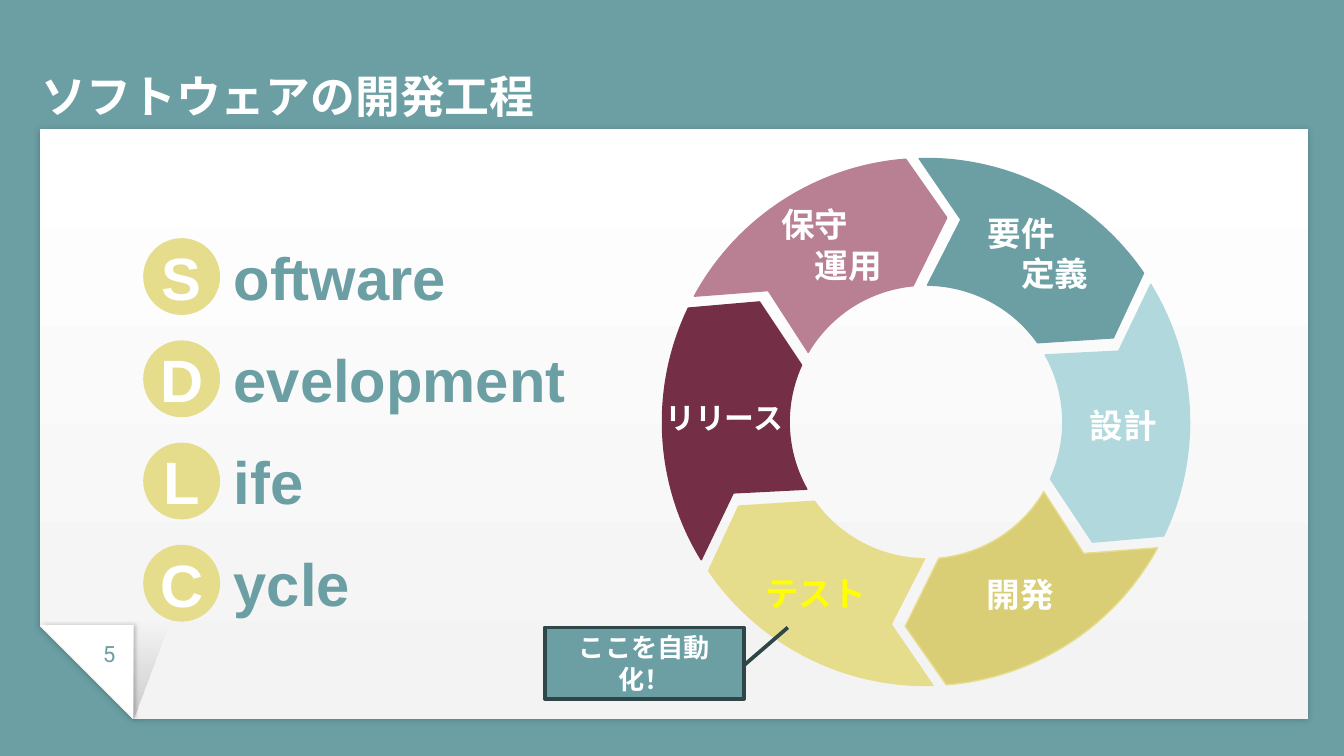
from math import cos, radians, sin, tan

from lxml.etree import SubElement
from pptx import Presentation
from pptx.dml.color import RGBColor
from pptx.enum.shapes import MSO_SHAPE
from pptx.enum.text import MSO_ANCHOR, PP_ALIGN
from pptx.oxml import parse_xml
from pptx.oxml.ns import nsdecls, qn
from pptx.util import Pt

# Content
TITLE = "ソフトウェアの開発工程"
PAGE_NUMBER = "5"
CALLOUT = "ここを自動化！"
WORDS = ["Software", "Development", "Life", "Cycle"]
# Clockwise from the top: lines, label box, size name, text, fill, outline
STAGES = [
    (["要件", "定義"], (529.2, 127.6, 79.2), "label", "white", "teal", "teal"),
    (["設計"], (583.9, 208.8, 87.8), "label", "white", "sky", "sky"),
    (["開発"], (528.5, 299.5, 44.6), "label", "white", "olive", "sand"),
    (["テスト"], (409.9, 298.8, 54.7), "label", "yellow", "sand", "sand"),
    (["リリース"], (356.4, 203.8, 78.5), "small_label", "white", "wine", "wine"),
    (["保守", "運用"], (418.5, 123.1, 87.8), "label", "white", "rose", "rose"),
]

THEME = {
    "colors": {
        "teal": "6B9FA4", "sky": "B1D9DD", "olive": "D9CE75", "sand": "E6DD8C",
        "wine": "742E46", "rose": "B98094", "white": "FFFFFF", "paper": "F3F3F3",
        "yellow": "FFFF00", "dark": "2F4648", "black": "000000",
    },
    "sizes": {"title": 24, "word": 32, "label": 18, "small_label": 16,
              "callout": 14, "page": 12},
    "latin": "Arial", "japanese": "Noto Sans CJK JP", "body": "Roboto",
}

# Geometry in points
ROW_TOP, ROW_PITCH, CIRCLE = 127.6, 54.75, 41.2
RING_CENTER = (496.1, 226.1)
OUTER, MIDDLE, INNER = 141.2, 110, 73.3
OUTER_START, OUTER_END = -91.5, -34.4
TIP, NOTCH = -80.2, -24.2
INNER_START, INNER_END = -89.4, -35.4
PATH_UNIT = Pt(0.01)


def color(name):
    return RGBColor.from_string(THEME["colors"][name])


def write(frame, lines, size, text_color, font, align=None, bold=True,
          anchor=MSO_ANCHOR.TOP, insets=(0, 0)):
    frame.word_wrap = True
    frame.vertical_anchor = anchor
    frame.margin_left = frame.margin_right = Pt(insets[0])
    frame.margin_top = frame.margin_bottom = Pt(insets[1])
    for index, line in enumerate(lines):
        paragraph = frame.paragraphs[0] if index == 0 else frame.add_paragraph()
        paragraph.alignment = align
        run = paragraph.add_run()
        run.text = line
        run.font.size = Pt(THEME["sizes"][size])
        run.font.bold = bold
        run.font.name = THEME[font]
        run.font.color.rgb = color(text_color)
        SubElement(run.font._element, qn("a:ea")).set("typeface", THEME[font])
        if index:  # later lines step in by one character
            indent = Pt(THEME["sizes"][size] * index)
            paragraph._p.get_or_add_pPr().set("marL", str(indent))


def add_text(slide, box, lines, size, text_color, font, **options):
    text_box = slide.shapes.add_textbox(*map(Pt, box))
    write(text_box.text_frame, lines, size, text_color, font, **options)


def paint(shape, fill, line=None, width=0.75):
    shape.shadow.inherit = False
    shape.fill.solid()
    shape.fill.fore_color.rgb = color(fill)
    if line:
        shape.line.color.rgb = color(line)
        shape.line.width = Pt(width)
    else:
        shape.line.fill.background()


def add_shape(slide, kind, box, fill, line=None, width=0.75):
    shape = slide.shapes.add_shape(kind, *map(Pt, box))
    paint(shape, fill, line, width)
    return shape


def grade(shape, stops, angle):
    """Fill with two (colour, opacity percent) stops."""
    shape.fill.gradient()
    shape.fill.gradient_angle = angle
    for stop, position, (name, opacity) in zip(
            shape.fill.gradient_stops, (0, 1), stops):
        stop.position = position
        stop.color.rgb = color(name)
        if opacity < 100:
            rgb = stop._gs.find(qn("a:srgbClr"))
            SubElement(rgb, qn("a:alpha")).set("val", str(opacity * 1000))


def cast_shadow(shape, blur, direction):
    properties = shape._element.spPr
    properties.remove(properties.find(qn("a:effectLst")))
    properties.append(parse_xml(
        f'<a:effectLst {nsdecls("a")}><a:outerShdw blurRad="{Pt(blur)}" '
        f'dist="{Pt(0.8)}" dir="{direction * 60000}" algn="bl" rotWithShape="0">'
        '<a:srgbClr val="000000"><a:alpha val="20000"/></a:srgbClr>'
        '</a:outerShdw></a:effectLst>'))


def polar(radius, degrees):
    x, y = RING_CENTER
    return x + radius * cos(radians(degrees)), y + radius * sin(radians(degrees))


def arc_curves(radius, start, end):
    """Two cubic curves, each as two control points and an end point."""
    half = (end - start) / 2
    pull = radius * 4 / 3 * tan(radians(half / 4))
    curves = []
    for first in (start, start + half):
        last = first + half
        (x1, y1), (x2, y2) = polar(radius, first), polar(radius, last)
        dx1, dy1 = -pull * sin(radians(first)), pull * cos(radians(first))
        dx2, dy2 = -pull * sin(radians(last)), pull * cos(radians(last))
        curves.append([(x1 + dx1, y1 + dy1), (x2 - dx2, y2 - dy2), (x2, y2)])
    return curves


def add_segment(slide, turn, fill, line):
    steps = [*arc_curves(OUTER, OUTER_START + turn, OUTER_END + turn),
             [polar(MIDDLE, NOTCH + turn)],
             [polar(INNER, INNER_END + turn)],
             *arc_curves(INNER, INNER_END + turn, INNER_START + turn),
             [polar(MIDDLE, TIP + turn)]]
    scale = Pt(1) / PATH_UNIT
    start_x, start_y = polar(OUTER, OUTER_START + turn)
    builder = slide.shapes.build_freeform(
        round(start_x * scale), round(start_y * scale), scale=PATH_UNIT)
    builder.add_line_segments(
        [(round(step[-1][0] * scale), round(step[-1][1] * scale))
         for step in steps], close=True)
    shape = builder.convert_to_shape()
    paint(shape, fill, line)
    # Bend the arc steps into cubic curves
    lines = list(shape._element.iter(qn("a:lnTo")))
    for element, step in zip(lines, steps):
        if len(step) == 3:
            curve = parse_xml(f'<a:cubicBezTo {nsdecls("a")}/>')
            for x, y in step:
                point = SubElement(curve, qn("a:pt"))
                point.set("x", str(round((Pt(x) - shape.left) / PATH_UNIT)))
                point.set("y", str(round((Pt(y) - shape.top) / PATH_UNIT)))
            element.getparent().replace(element, curve)


def add_paper(slide):
    paper = add_shape(slide, MSO_SHAPE.SNIP_1_RECTANGLE,
                      (21.4, 69.1, 679.5, 316.1), "white")
    paper.adjustments[0] = 0.158
    grade(paper, [("white", 100), ("paper", 100)], 90)
    cast_shadow(paper, 3.4, 90)
    corner = add_shape(slide, MSO_SHAPE.RIGHT_TRIANGLE,
                       (21.4, 334.8, 50.2, 50.4), "white")
    cast_shadow(corner, 2.2, 0)
    shade = add_shape(slide, MSO_SHAPE.RIGHT_TRIANGLE,
                      (71.4, 334.8, 18.7, 50.4), "black")
    grade(shade, [("black", 17), ("black", 0)], 270)
    shade._element.spPr.xfrm.set("flipH", "1")
    for part in (paper, corner, shade):
        part.rotation = 180


def main():
    presentation = Presentation()
    presentation.slide_width, presentation.slide_height = Pt(720), Pt(405)
    slide = presentation.slides.add_slide(presentation.slide_layouts[6])
    slide.background.fill.solid()
    slide.background.fill.fore_color.rgb = color("teal")

    # Folded paper, page number and title
    add_paper(slide)
    add_text(slide, (40.1, 335.5, 36.7, 24.5), [PAGE_NUMBER], "page", "teal",
             "body", align=PP_ALIGN.CENTER, bold=False, insets=(7.2, 7.2))
    add_text(slide, (22.3, 24.5, 661.7, 41), [TITLE], "title", "white",
             "japanese", anchor=MSO_ANCHOR.BOTTOM)

    # Words with circled initials
    for row, word in enumerate(WORDS):
        top = ROW_TOP + row * ROW_PITCH
        circle = add_shape(slide, MSO_SHAPE.OVAL, (76.7, top, CIRCLE, CIRCLE), "sand")
        write(circle.text_frame, [word[0]], "word", "white", "latin",
              align=PP_ALIGN.CENTER, anchor=MSO_ANCHOR.MIDDLE)
        add_text(slide, (118.1, top - 2.3, 360, 46), [word[1:]], "word", "teal",
                 "latin", insets=(7.2, 3.6))

    # Ring of stages, then their labels
    for index, (_, _, _, _, fill, line) in enumerate(STAGES):
        add_segment(slide, index * 360 / len(STAGES), fill, line)
    for lines, box, size, text_color, _, _ in STAGES:
        add_text(slide, (*box, 29.5), lines, size, text_color, "japanese",
                 anchor=MSO_ANCHOR.BOTTOM)

    # Callout pointing at the test stage
    callout = add_shape(slide, MSO_SHAPE.LINE_CALLOUT_1,
                        (291.9, 336.2, 106.7, 38.2), "teal", "dark", 2)
    for index, value in enumerate((0.53, 1, 0, 1.22)):
        callout.adjustments[index] = value
    write(callout.text_frame, [CALLOUT], "callout", "white", "body",
          align=PP_ALIGN.CENTER, anchor=MSO_ANCHOR.MIDDLE, insets=(14, 3.6))

    presentation.save("out.pptx")


if __name__ == "__main__":
    main()
